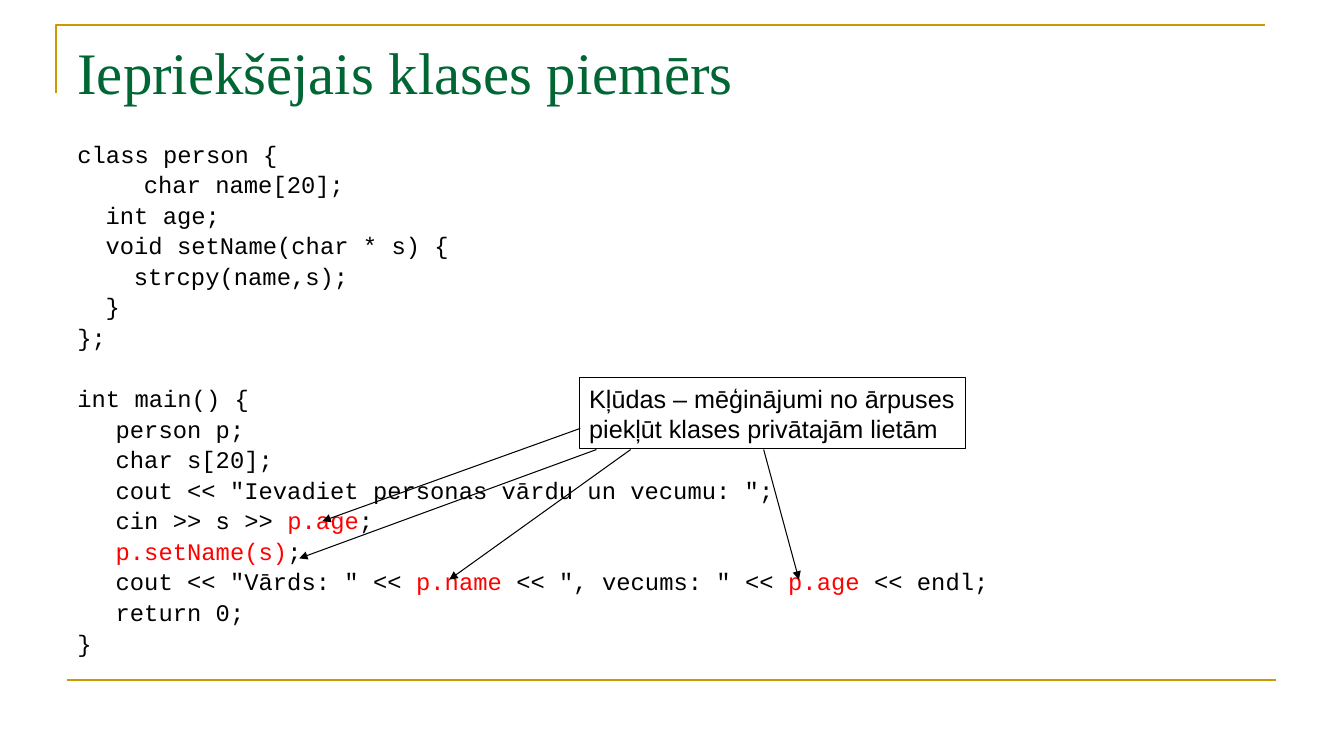
"""Build the slide that shows illegal access to private class members."""
from dataclasses import dataclass

from pptx import Presentation, util as u
from pptx.dml.color import RGBColor
from pptx.enum import shapes
from pptx.oxml import parse_xml
from pptx.oxml.ns import nsdecls


@dataclass(frozen=True)
class Theme:
    heading: str = "006633"
    rule: str = "CC9900"
    ink: str = "000000"
    error: str = "FF0000"
    heading_size: float = 42
    code_size: float = 17
    note_size: float = 18


theme = Theme()


def write(frame, text, *, font, size, color, accent=theme.error, first=False,
          indent=0, before=0.6, after=0.6, leading=None):
    """Write one paragraph; parts between bars take the accent colour."""
    frame.word_wrap = True
    paragraph = frame.paragraphs[0] if first else frame.add_paragraph()
    paragraph.space_before, paragraph.space_after = u.Pt(before), u.Pt(after)
    paragraph.line_spacing = leading
    paragraph._p.get_or_add_pPr().set("marL", str(u.Inches(indent)))
    paragraph._p.get_or_add_pPr().set("indent", "0")
    for position, part in enumerate(text.split("|")):
        if part:
            run = paragraph.add_run()
            run.text = part
            run.font.name, run.font.size = font, u.Pt(size)
            run.font.color.rgb = RGBColor.from_string(accent if position % 2 else color)


def draw_line(start, end, color, width, arrow=False):
    """Draw a straight line, with an arrowhead at its end if asked."""
    line = slide.shapes.add_connector(
        shapes.MSO_CONNECTOR.STRAIGHT, *map(u.Inches, (*start, *end)))
    line.line.color.rgb = RGBColor.from_string(color)
    line.line.width = u.Pt(width)
    if arrow:
        line.line._get_or_add_ln().append(
            parse_xml(f'<a:tailEnd {nsdecls("a")} type="triangle"/>'))
    line._element.spPr.append(parse_xml(f'<a:effectLst {nsdecls("a")}/>'))


presentation = Presentation()
presentation.slide_width, presentation.slide_height = u.Inches(13.34), u.Inches(7.5)
slide = presentation.slides.add_slide(presentation.slide_layouts[6])

outline = slide.shapes.build_freeform(u.Inches(0.56), u.Inches(0.92))
outline.add_line_segments(
    [(u.Inches(0.56), u.Inches(0.25)), (u.Inches(12.56), u.Inches(0.25))], close=False)
corner = outline.convert_to_shape()
corner.shadow.inherit = False
corner.fill.background()
corner.line.color.rgb = RGBColor.from_string(theme.rule)
corner.line.width = u.Pt(1.5)
draw_line((0.67, 6.75), (12.67, 6.75), theme.rule, 1.5)

heading = slide.shapes.add_textbox(*map(u.Inches, (0.67, 0.3, 12, 1.25)))
write(heading.text_frame, "Iepriekšējais klases piemērs", first=True,
      font="Times New Roman", size=theme.heading_size, color=theme.heading)

listing = slide.shapes.add_textbox(*map(u.Inches, (0.67, 1.39, 10.83, 5.32)))
TAB, CHAR = 0.38, 0.14
class_code = [
    (0, "class person {"),
    (TAB + 2 * CHAR, "char name[20];"),
    (2 * CHAR, "int age;"),
    (2 * CHAR, "void setName(char * s) {"),
    (4 * CHAR, "strcpy(name,s);"),
    (2 * CHAR, "}"),
    (0, "};"),
]
main_code = [
    (0, "int main() {"),
    (TAB, "person p;"),
    (TAB, "char s[20];"),
    (TAB, 'cout << "Ievadiet personas vārdu un vecumu: ";'),
    (TAB, "cin >> s >> |p.age|;"),
    (TAB, "|p.setName(s)|;"),
    (TAB, 'cout << "Vārds: " << |p.name| << ", vecums: " << |p.age| << endl;'),
    (TAB, "return 0;"),
    (0, "}"),
]
LEADING, BEFORE, AFTER = 16.34, 4.9, 0.6
for block, gap in ((class_code, 0), (main_code, LEADING + BEFORE + AFTER)):
    for row, (indent, code) in enumerate(block):
        write(listing.text_frame, code, first=row == 0 and gap == 0,
              font="Courier New", size=theme.code_size, color=theme.ink,
              indent=indent, leading=u.Pt(LEADING), after=AFTER,
              before=BEFORE + (gap if row == 0 else 0))

error_note = slide.shapes.add_textbox(*map(u.Inches, (5.75, 3.75, 3.83, 0.7)))
error_note.line.color.rgb = RGBColor.from_string(theme.ink)
error_note.line.width = u.Pt(0.75)
write(error_note.text_frame,
      "Kļūdas – mēģinājumi no ārpuses piekļūt klases privātajām lietām",
      first=True, font="Arial", size=theme.note_size, color=theme.ink)

error_arrows = [
    ((5.76, 4.25), (3.2, 5.17)),
    ((5.92, 4.46), (2.97, 5.54)),
    ((6.26, 4.46), (4.46, 5.75)),
    ((7.58, 4.46), (7.93, 5.75)),
]
for start, end in error_arrows:
    draw_line(start, end, theme.ink, 0.75, arrow=True)

presentation.save("out.pptx")
